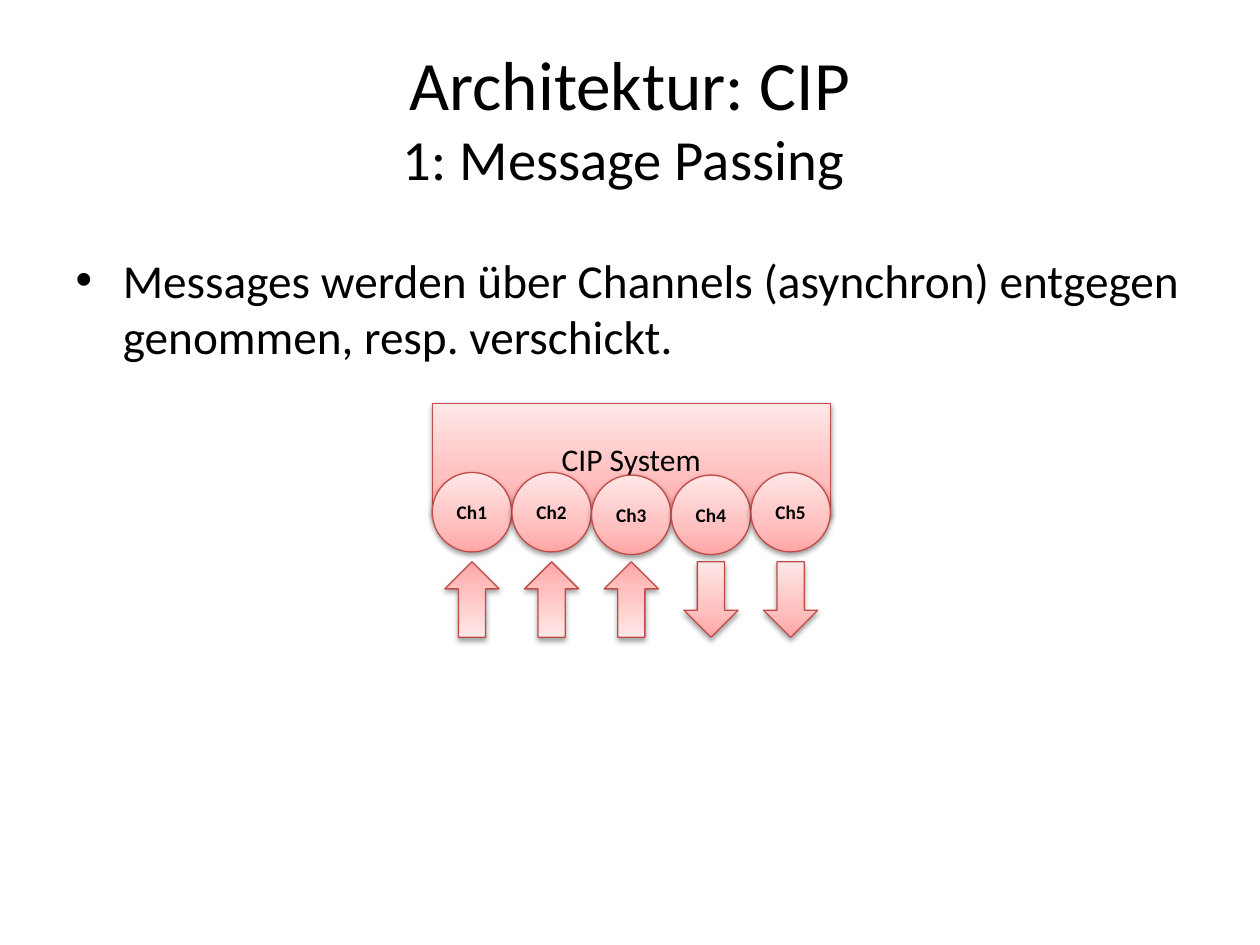
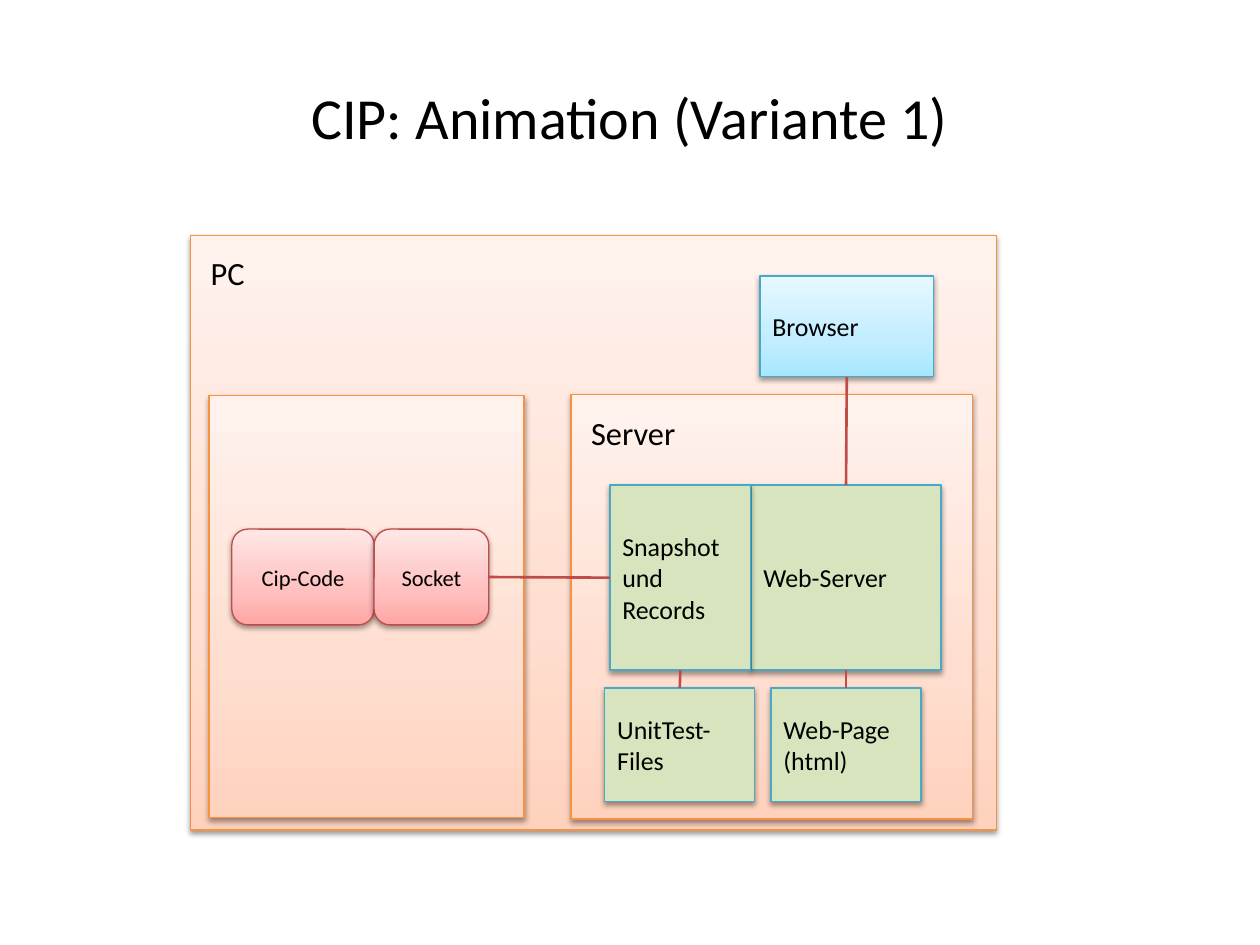
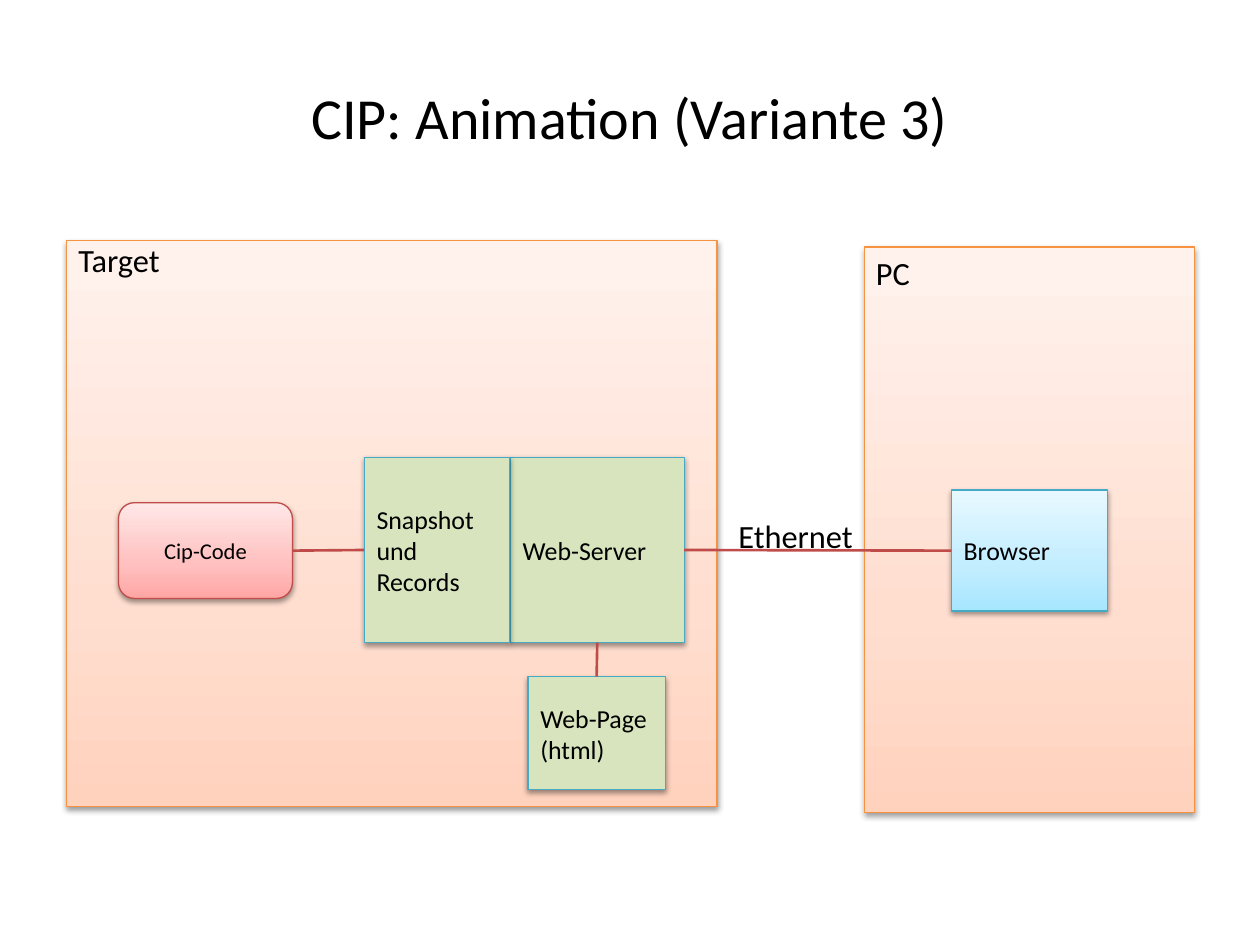
from dataclasses import dataclass

from lxml import etree
from pptx import Presentation
from pptx import util as u
from pptx.dml import color
from pptx.enum import shapes, text
from pptx.oxml import ns

Pt = u.Pt


@dataclass(frozen=True)
class Style:
    fill: tuple
    line: str
    size: float
    shape: str = "RECTANGLE"
    align: str = "LEFT"
    bold: bool = False


@dataclass(frozen=True)
class Theme:
    font: str = "Calibri"
    ink: str = "000000"
    red: str = "BF4C48"
    orange: str = "F69240"
    blue: str = "46AAC5"
    red_fill: tuple = ("FFA6A5", "FFC0BF", "FFE7E7")
    orange_fill: tuple = ("FFD2BD", "FFDED0", "FFF2ED")
    blue_fill: tuple = ("A7E6FF", "C1EDFF", "E7F8FF")
    green_fill: tuple = ("D7E4BD",)
    title_size: float = 33.2
    title_line_sizes: tuple = (39.6, 32.4)
    body_size: float = 27
    label_size: float = 18.5
    system_size: float = 18
    component_size: float = 14.8
    code_size: float = 12.9
    channel_size: float = 11
    box_line: float = 0.75
    link_line: float = 1.5


THEME = Theme()
STYLES = {
    "area": Style(THEME.orange_fill, THEME.orange, THEME.label_size),
    "client": Style(THEME.blue_fill, THEME.blue, THEME.component_size),
    "component": Style(THEME.green_fill, THEME.blue, THEME.component_size),
    "code": Style(THEME.red_fill, THEME.red, THEME.code_size, "ROUNDED_RECTANGLE", "CENTER"),
    "system": Style(THEME.red_fill, THEME.red, THEME.system_size, align="CENTER"),
    "channel": Style(THEME.red_fill, THEME.red, THEME.channel_size, "FLOWCHART_CONNECTOR", "CENTER", True),
    "arrow": Style(THEME.red_fill, THEME.red, THEME.channel_size, "DOWN_ARROW"),
}

TITLE_AREA = (36, 21.6, 648, 90)
BODY_AREA = (36, 139.7, 648, 342.7)
TOP, LEFT, BOTTOM, RIGHT = range(4)

PASSING = {
    "title": "Architektur: CIP\v1: Message Passing ",
    "body": "Messages werden über Channels (asynchron) entgegen genommen, resp. verschickt.",
    "system": ("CIP System", (247, 230.5, 227.5, 64)),
    "channels": [("Ch1", 270, "in"), ("Ch2", 270, "in"), ("Ch3", 271.5, "in"),
                 ("Ch4", 271.5, "out"), ("Ch5", 270, "out")],
}
CIRCLE = 45.4
ARROW_TOP, ARROW_WIDTH, ARROW_HEIGHT = 321, 31, 43.2

ANIMATIONS = [
    {
        "title": "CIP: Animation (Variante 1)",
        "boxes": [
            ("pc", "area", "", (108.7, 134.6, 460.8, 339.8)),
            ("server", "area", "", (326.2, 225.4, 229.7, 242.6)),
            ("program", "area", "", (119.5, 226.1, 180, 241.2)),
            ("browser", "client", "Browser", (434.2, 157.7, 99.4, 57.6)),
            ("web server", "component", "Web-Server", (429.1, 277.2, 108.7, 105.8)),
            ("snapshot", "component", "Snapshot und Records", (348.5, 277.2, 80.6, 105.8)),
            ("cip", "code", "Cip-Code", (132.5, 302.4, 81.4, 54.7)),
            ("socket", "code", "Socket", (213.8, 302.4, 65.5, 54.7)),
            ("page", "component", "Web-Page (html)", (440.6, 393.1, 85.7, 64.8)),
            ("tests", "component", "UnitTest-Files", (345.6, 393.1, 85.7, 64.8)),
        ],
        "links": [
            ("snapshot", LEFT, "socket", RIGHT),
            ("browser", BOTTOM, "web server", TOP),
            ("web server", BOTTOM, "page", TOP),
            ("snapshot", BOTTOM, "tests", TOP),
        ],
        "labels": [
            ("PC", (113.8, 141.1, 51.8, 34.6)),
            ("Server", (331.2, 232.6, 87.8, 34.6)),
        ],
    },
    {
        "title": "CIP: Animation (Variante 3)",
        "boxes": [
            ("target", "area", "", (38.2, 137.5, 371.5, 323.3)),
            ("pc", "area", "", (493.9, 141.1, 188.6, 323.3)),
            ("web server", "component", "Web-Server", (291.6, 261.4, 99.4, 105.8)),
            ("snapshot", "component", "Snapshot und Records", (208.1, 261.4, 83.2, 105.8)),
            ("cip", "code", "Cip-Code", (67.7, 287.3, 99.4, 54.7)),
            ("page", "component", "Web-Page (html)", (301.7, 386.6, 78.5, 64.8)),
            ("browser", "client", "Browser", (543.6, 280.1, 89.3, 69.1)),
        ],
        "links": [
            ("snapshot", LEFT, "cip", RIGHT),
            ("web server", BOTTOM, "page", TOP),
            ("browser", LEFT, "web server", RIGHT),
        ],
        "labels": [
            ("Target", (38.2, 133.9, 86.4, 34.6)),
            ("Ethernet", (415.4, 291.6, 89.3, 25.9)),
            ("PC", (493.9, 141.1, 46.8, 34.6)),
        ],
    },
]


def rgb(value):
    return color.RGBColor.from_string(value)


def add_xml(parent, tag, **attributes):
    return etree.SubElement(parent, ns.qn(tag), attributes)


def write(frame, content, sizes, align=None, bold=False):
    para = frame.paragraphs[0]
    para.text = content
    if align:
        para.alignment = text.PP_ALIGN[align]
    for span, size in zip(para.runs, sizes):
        span.font.name = THEME.font
        span.font.size = Pt(size)
        span.font.bold = bold
        span.font.color.rgb = rgb(THEME.ink)


def place(holder, area):
    holder.left, holder.top, holder.width, holder.height = map(Pt, area)
    holder.text_frame.auto_size = text.MSO_AUTO_SIZE.NONE


def add_page(deck, layout, title, sizes):
    page = deck.slides.add_slide(deck.slide_layouts.get_by_name(layout))
    place(page.shapes.title, TITLE_AREA)
    write(page.shapes.title.text_frame, title, sizes, "CENTER")
    return page


def paint(box, stops):
    if len(stops) == 1:
        box.fill.solid()
        box.fill.fore_color.rgb = rgb(stops[0])
        return
    box.fill.gradient()
    gradient = box._element.spPr.find(ns.qn("a:gradFill"))
    for child in list(gradient):
        gradient.remove(child)
    stop_list = add_xml(gradient, "a:gsLst")
    for position, value in zip(("0", "35000", "100000"), stops):
        add_xml(add_xml(stop_list, "a:gs", pos=position), "a:srgbClr", val=value)
    add_xml(gradient, "a:lin", ang="16200000", scaled="1")


def add_shadow(box):
    box.shadow.inherit = False
    effects = box._element.spPr.find(ns.qn("a:effectLst"))
    shadow = add_xml(effects, "a:outerShdw", blurRad="40000", dist="20000",
                     dir="5400000", rotWithShape="0")
    add_xml(add_xml(shadow, "a:srgbClr", val="000000"), "a:alpha", val="38000")


def add_box(page, kind, content, area):
    style = STYLES[kind]
    box = page.shapes.add_shape(shapes.MSO_SHAPE[style.shape], *map(Pt, area))
    paint(box, style.fill)
    box.line.color.rgb = rgb(style.line)
    box.line.width = Pt(THEME.box_line)
    add_shadow(box)
    if content:
        box.text_frame.vertical_anchor = text.MSO_ANCHOR.MIDDLE
        if kind == "channel":
            box.text_frame.margin_left = box.text_frame.margin_right = 0
        write(box.text_frame, content, [style.size], style.align, style.bold)
    return box


def add_link(page, start, start_side, end, end_side):
    link = page.shapes.add_connector(shapes.MSO_CONNECTOR.STRAIGHT, 0, 0, 0, 0)
    link.begin_connect(start, start_side)
    link.end_connect(end, end_side)
    link.line.color.rgb = rgb(THEME.red)
    link.line.width = Pt(THEME.link_line)
    add_xml(link._element.spPr, "a:effectLst")


def add_label(page, content, area):
    frame = page.shapes.add_textbox(*map(Pt, area)).text_frame
    frame.word_wrap = True
    frame.margin_left = frame.margin_right = Pt(6.6)
    write(frame, content, [THEME.label_size])


def add_passing(deck):
    page = add_page(deck, "Title and Content", PASSING["title"], THEME.title_line_sizes)
    body = page.placeholders[1]
    place(body, BODY_AREA)
    write(body.text_frame, PASSING["body"], [THEME.body_size])
    name, area = PASSING["system"]
    add_box(page, "system", name, area)
    left, width = area[0], area[2]
    channels = PASSING["channels"]
    pitch = (width - CIRCLE) / (len(channels) - 1)
    for index, (channel, top, direction) in enumerate(channels):
        x = left + index * pitch
        add_box(page, "channel", channel, (x, top, CIRCLE, CIRCLE))
        arrow_left = x + (CIRCLE - ARROW_WIDTH) / 2
        arrow = add_box(page, "arrow", "", (arrow_left, ARROW_TOP, ARROW_WIDTH, ARROW_HEIGHT))
        arrow.rotation = 180 if direction == "in" else 0


def add_animation(deck, content):
    page = add_page(deck, "Title Only", content["title"], [THEME.title_size])
    boxes = {name: add_box(page, kind, caption, area)
             for name, kind, caption, area in content["boxes"]}
    for start, start_side, end, end_side in content["links"]:
        add_link(page, boxes[start], start_side, boxes[end], end_side)
    for caption, area in content["labels"]:
        add_label(page, caption, area)


def main():
    deck = Presentation()
    deck.slide_width, deck.slide_height = Pt(720), Pt(540)
    add_passing(deck)
    for content in ANIMATIONS:
        add_animation(deck, content)
    deck.save("out.pptx")


if __name__ == "__main__":
    main()
